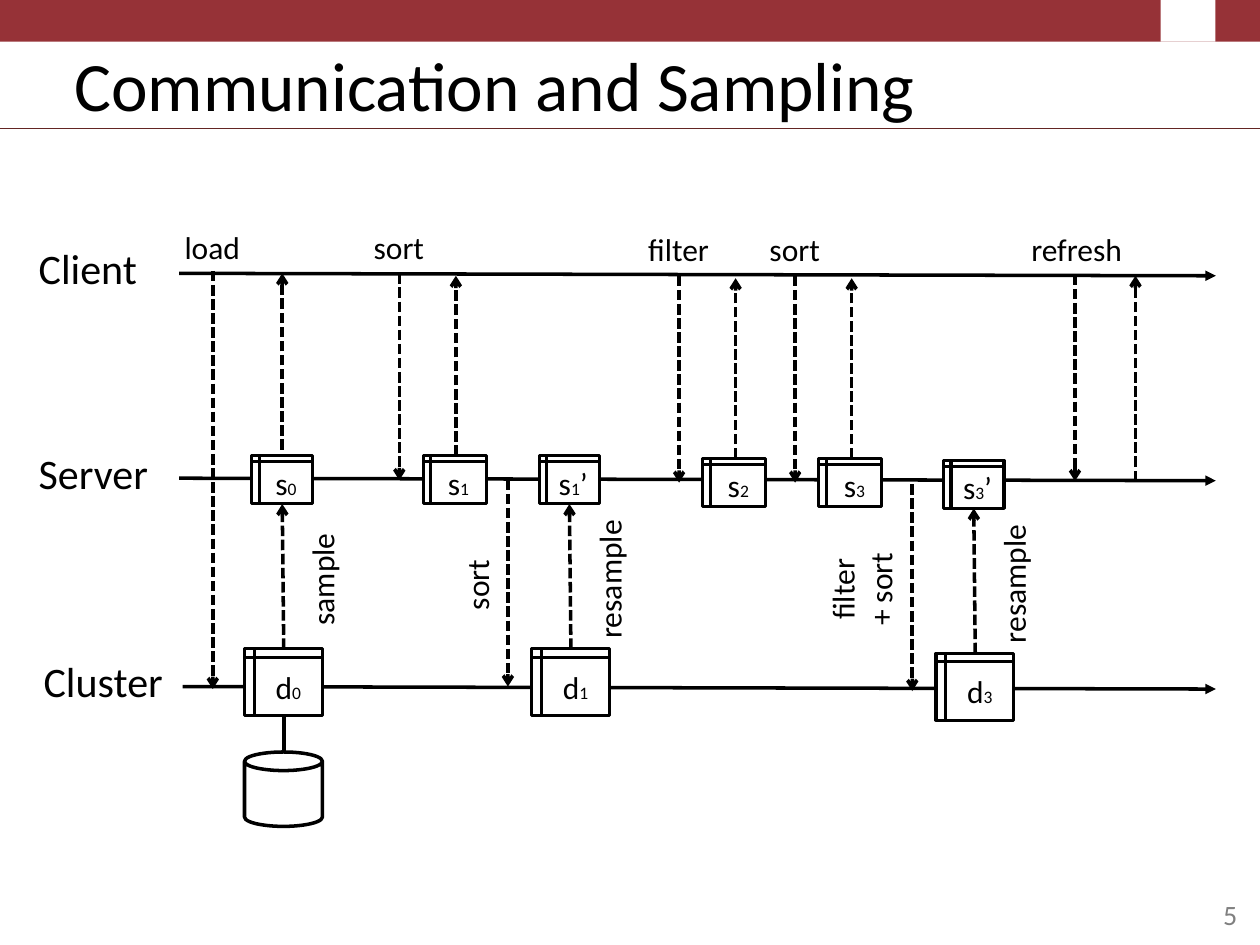
from typing import NamedTuple

from lxml.etree import SubElement
from pptx import Presentation
from pptx.dml.color import RGBColor
from pptx.enum.dml import MSO_LINE
from pptx.enum.shapes import MSO_CONNECTOR, MSO_SHAPE as Preset
from pptx.enum.text import MSO_ANCHOR as Anchor, MSO_AUTO_SIZE as AutoSize, PP_ALIGN as Align
from pptx.oxml.ns import qn
from pptx.util import Cm, Pt

COLORS = {"ink": "000000", "paper": "FFFFFF", "band": "963237", "rule": "632523", "number": "808080"}
FONT = "Calibri"
CARD_HEIGHT, DATA_HEIGHT, DATA_WIDTH = 0.97, 1.35, 1.57
LABEL_WIDTH, LABEL_HEIGHT = 1.96, 1.02


class Box(NamedTuple):
    """A region of the slide, in centimetres."""
    left: float
    top: float
    width: float
    height: float

    def inside(self, x, y, width, height):
        return Box(self.left + x, self.top + y, width, height)

    def emu(self):
        return [Cm(length) for length in self]


def rgb(color):
    return RGBColor.from_string(COLORS[color])


def add_run(paragraph, text, size, color="ink"):
    run = paragraph.add_run()
    run.text = text
    run.font.name, run.font.size = FONT, Pt(size)
    run.font.color.rgb = rgb(color)


def add_label(slide, box, text, size=18, align=Align.CENTER, color="ink", rotation=0):
    label = slide.shapes.add_textbox(*box.emu())
    label.rotation = rotation
    label.text_frame.word_wrap = True
    paragraph = label.text_frame.paragraphs[0]
    paragraph.alignment = align
    for number, line in enumerate(text.split("\n")):
        if number:
            paragraph.add_line_break()
        add_run(paragraph, line, size, color)


def add_upright_label(slide, box, text, center_x, center_y, width, height=LABEL_HEIGHT):
    place = box.inside(center_x - width / 2, center_y - height / 2, width, height)
    add_label(slide, place, text, rotation=270)


def add_block(slide, box, preset, fill, line_width=None):
    block = slide.shapes.add_shape(preset, *box.emu())
    block.shadow.inherit = False
    block.fill.solid()
    block.fill.fore_color.rgb = rgb(fill)
    if line_width:
        block.line.color.rgb = rgb("ink")
        block.line.width = Pt(line_width)
    else:
        block.line.fill.background()
    return block


def add_line(slide, box, start, end, color="ink", width=2, head=None, dashed=False):
    """Draw a line between two points given relative to the box."""
    (x1, y1), (x2, y2) = start, end
    line = slide.shapes.add_connector(
        MSO_CONNECTOR.STRAIGHT, Cm(box.left + x1), Cm(box.top + y1),
        Cm(box.left + x2), Cm(box.top + y2))
    line.line.color.rgb = rgb(color)
    line.line.width = Pt(width)
    if dashed:
        line.line.dash_style = MSO_LINE.SQUARE_DOT
    if head:
        SubElement(line.line._get_or_add_ln(), qn("a:tailEnd"), type=head)
    SubElement(line._element.spPr, qn("a:effectLst"))


def add_message(slide, box, x, y_from, y_to, x_to=None):
    end = (x if x_to is None else x_to, y_to)
    add_line(slide, box, (x, y_from), end, head="arrow", dashed=True)


def add_table_card(slide, box, name):
    """Draw a table symbol; name is its letter, its index and an optional prime."""
    card = add_block(slide, box, Preset.FLOWCHART_INTERNAL_STORAGE, "paper", 1.75)
    frame = card.text_frame
    frame.vertical_anchor = Anchor.MIDDLE
    frame.word_wrap = len(name) == 2
    paragraph = frame.paragraphs[0]
    paragraph.alignment = Align.CENTER
    for character in name:
        add_run(paragraph, character, 10 if character.isdigit() else 18)


def add_header(slide, box, title_text):
    add_block(slide, box.inside(0, 0, box.width, 0.84), Preset.RECTANGLE, "band")
    add_block(slide, box.inside(23.4, 0, 1.1, 0.84), Preset.RECTANGLE, "paper")
    add_line(slide, box, (0, 2.59), (box.width, 2.59), "rule", 0.75)
    title = slide.shapes.title
    title.left, title.top, title.width, title.height = box.inside(0, 0.79, box.width, 1.78).emu()
    frame = title.text_frame
    frame.auto_size = AutoSize.NONE
    frame.vertical_anchor = Anchor.MIDDLE
    frame.margin_left = Cm(1.5)
    paragraph = frame.paragraphs[0]
    paragraph.alignment = Align.LEFT
    add_run(paragraph, title_text, 39.6)


def add_lanes(slide, box):
    lanes = [("Client", 0, 3.08, 1.04), ("Server", 0, 3.08, 5.17), ("Cluster", 0.1, 3.15, 9.37)]
    for name, label_x, start_x, y in lanes:
        add_line(slide, box, (start_x, y), (23.98, y + 0.05), head="triangle")
        add_label(slide, box.inside(label_x, y - 0.75, 3.1, 1.27), name, 24, Align.LEFT)


def add_quick_round(slide, box, action, sample):
    """The client asks and the server answers at once from its sample."""
    add_label(slide, box.inside(0, 0, LABEL_WIDTH, LABEL_HEIGHT), action)
    add_message(slide, box, 0.99, 1.04, 5.21)
    add_table_card(slide, box.inside(1.47, 4.72, 1.27, CARD_HEIGHT), sample)
    add_message(slide, box, 2.13, 4.72, 1.09)


def add_sampling(slide, box, sample, data, action):
    """The cluster sends a sample of its data up to the server."""
    data_top = box.height - DATA_HEIGHT
    add_table_card(slide, box.inside(0.15, 0, 1.22, CARD_HEIGHT), sample)
    add_table_card(slide, box.inside(0, data_top, DATA_WIDTH, DATA_HEIGHT), data)
    add_message(slide, box, 0.79, data_top, CARD_HEIGHT, x_to=0.76)
    add_upright_label(slide, box, action, 1.56, 2.49, 3.58)


def add_resampling(slide, box, request, request_height, sample, data):
    add_message(slide, box, -0.48, 0.48, 4.65)
    add_upright_label(slide, box, request, -0.6 - request_height / 2, 2.6, 2.59, request_height)
    add_sampling(slide, box, sample, data, "resample")


def add_load(slide, box):
    add_label(slide, box.inside(2.77, 0, LABEL_WIDTH, LABEL_HEIGHT), "load")
    add_message(slide, box, 3.76, 0.99, 9.42)
    add_sampling(slide, box.inside(4.4, 4.72, DATA_WIDTH, 5.24), "s0", "d0", "sample")
    add_message(slide, box, 5.16, 4.6, 1.04)
    add_block(slide, box.inside(4.4, 10.69, DATA_WIDTH, 1.5), Preset.CAN, "paper", 2)
    add_line(slide, box, (5.19, 10.69), (5.19, 9.96))


def add_refresh(slide, box):
    add_label(slide, box.inside(19.89, 0.05, 2.57, LABEL_HEIGHT), "refresh")
    add_message(slide, box, 21.14, 1.07, 5.23)
    add_message(slide, box, 22.36, 5.23, 1.09)


def add_sequence(slide, box):
    add_lanes(slide, box)
    add_load(slide, box)
    for x, y, action, sample in [(6.53, 0, "sort", "s1"), (12.17, 0.05, "filter", "s2"),
                                 (14.51, 0.05, "sort", "s3")]:
        add_quick_round(slide, box.inside(x, y, 2.74, 5.69), action, sample)
    for x, y, request, height, sample, data in [
            (10.19, 4.72, "sort", LABEL_HEIGHT, "s1’", "d1"),
            (18.34, 4.81, "filter\n+ sort", 1.8, "s3’", "d3")]:
        column = box.inside(x, y, DATA_WIDTH, 5.24)
        add_resampling(slide, column, request, height, sample, data)
    add_refresh(slide, box)


def main():
    deck = Presentation()
    deck.slide_width, deck.slide_height = Cm(25.4), Cm(19.05)
    slide = deck.slides.add_slide(deck.slide_layouts[5])
    add_header(slide, Box(0, 0, 25.4, 2.6), "Communication and Sampling")
    add_sequence(slide, Box(0.53, 4.47, 24, 12.2))
    add_label(slide, Box(18.54, 17.97, 6.65, 1), "5", 16, Align.RIGHT, "number")
    deck.save("out.pptx")


if __name__ == "__main__":
    main()
